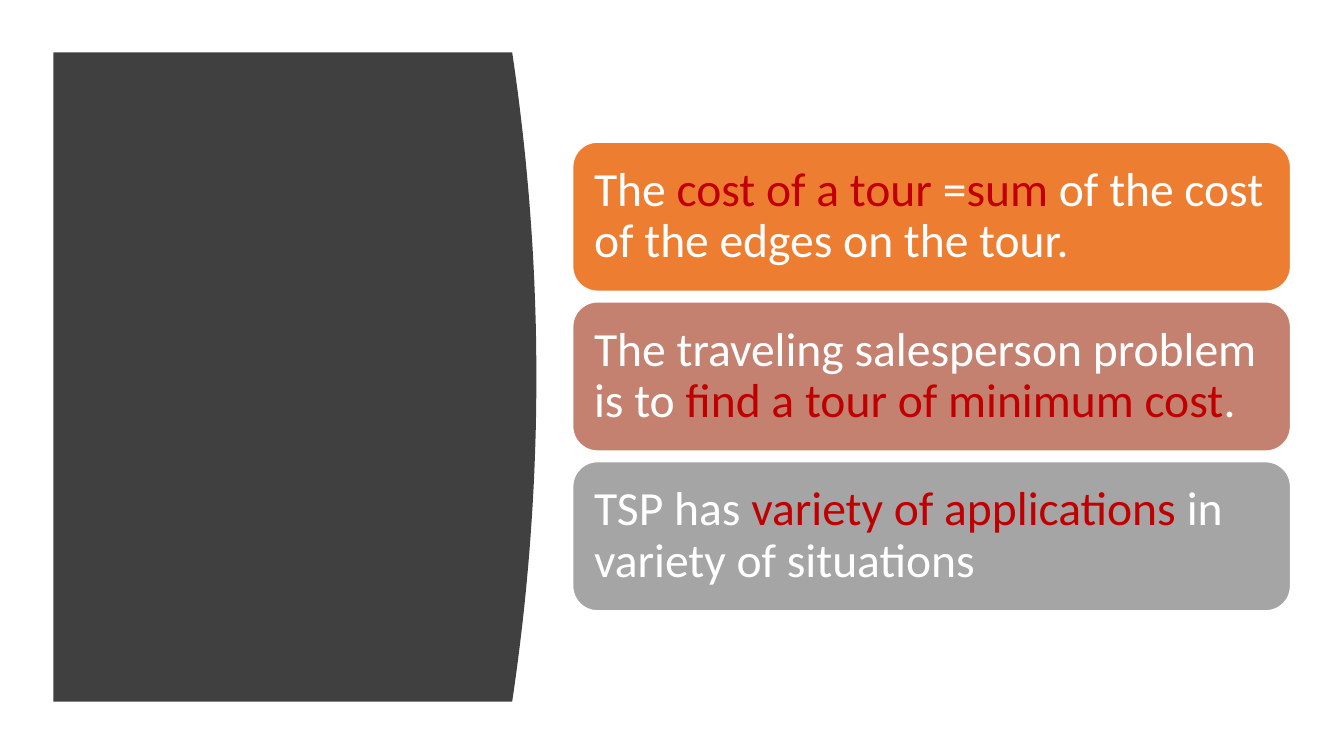
from pptx import Presentation
from pptx.dml.color import RGBColor
from pptx.enum.shapes import MSO_SHAPE
from pptx.enum.text import MSO_ANCHOR, PP_ALIGN
from pptx.util import Inches, Pt

WHITE, RED = "FFFFFF", "C00000"

# Each statement: card fill, then (text, colour) pieces.
STATEMENTS = [
    ("ED7D31", [("The ", WHITE), ("cost of a tour ", RED), ("=", WHITE), ("sum ", RED),
                ("of the cost of the edges on the tour.", WHITE)]),
    ("C48170", [("The traveling salesperson problem is to ", WHITE),
                ("find a tour of minimum cost", RED), (".", WHITE)]),
    ("A5A5A5", [("TSP has ", WHITE), ("variety of applications ", RED),
                ("in variety of situations", WHITE)]),
]


def rgb(value):
    return RGBColor.from_string(value)


class SlideBuilder:
    font_name = "Calibri"
    font_size = Pt(34)
    inset = Inches(0.14)

    def __init__(self, slide):
        self.slide = slide

    def curved_panel(self, left, top, width, height, bulge, color, steps=48):
        """Draw a block whose right edge bows outward as a parabola."""
        edge = []
        for step in range(steps + 1):
            t = 2 * step / steps - 1
            edge.append((Inches(left + width - bulge * t * t),
                         Inches(top + height * step / steps)))
        outline = self.slide.shapes.build_freeform(Inches(left), Inches(top))
        outline.add_line_segments(edge + [(Inches(left), Inches(top + height))], close=True)
        panel = outline.convert_to_shape()
        panel.shadow.inherit = False
        panel.fill.solid()
        panel.fill.fore_color.rgb = rgb(color)
        panel.line.fill.background()

    def card(self, left, top, width, height, color, pieces):
        card = self.slide.shapes.add_shape(
            MSO_SHAPE.ROUNDED_RECTANGLE,
            Inches(left), Inches(top), Inches(width), Inches(height))
        card.shadow.inherit = False
        card.fill.solid()
        card.fill.fore_color.rgb = rgb(color)
        card.line.color.rgb = rgb(WHITE)
        card.line.width = Pt(1)
        frame = card.text_frame
        frame.word_wrap = True
        frame.vertical_anchor = MSO_ANCHOR.MIDDLE
        frame.margin_left = frame.margin_right = self.inset
        frame.margin_top = frame.margin_bottom = self.inset
        statement = frame.paragraphs[0]
        statement.alignment = PP_ALIGN.LEFT
        statement.line_spacing = 0.9
        for words, text_color in pieces:
            run = statement.add_run()
            run.text = words
            run.font.name = self.font_name
            run.font.size = self.font_size
            run.font.color.rgb = rgb(text_color)


def main():
    presentation = Presentation()
    presentation.slide_width = Inches(13.33)
    presentation.slide_height = Inches(7.5)
    blank_layout = presentation.slide_layouts[6]
    builder = SlideBuilder(presentation.slides.add_slide(blank_layout))

    builder.curved_panel(0.53, 0.52, 4.79, 6.44, 0.24, "404040")
    first_top, pitch = 1.41, 1.585
    for index, (color, pieces) in enumerate(STATEMENTS):
        builder.card(5.68, first_top + index * pitch, 7.12, 1.48, color, pieces)

    presentation.save("out.pptx")


if __name__ == "__main__":
    main()
